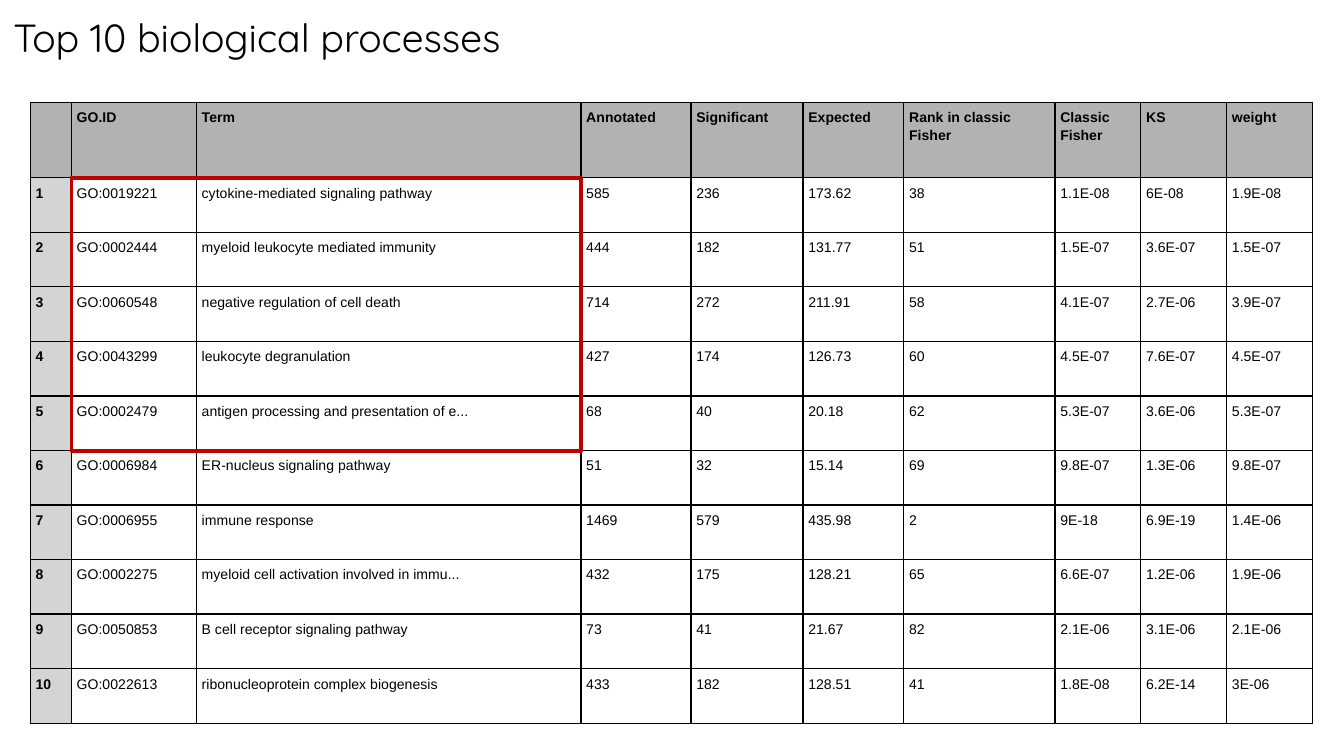
"""Build a slide with a table of the top 10 enriched biological processes."""
from dataclasses import dataclass

from lxml.etree import SubElement
from pptx import Presentation
from pptx.dml.color import RGBColor
from pptx.enum.shapes import MSO_SHAPE
from pptx.enum.text import MSO_ANCHOR, PP_ALIGN
from pptx.oxml.ns import qn
from pptx.util import Pt

TITLE = "Top 10 biological processes"
HEADERS = ["", "GO.ID", "Term", "Annotated", "Significant", "Expected",
           "Rank in classic Fisher", "Classic\nFisher", "KS", "weight"]
PROCESSES = [
    ("GO:0019221", "cytokine-mediated signaling pathway", "585", "236", "173.62", "38", "1.1E-08", "6E-08", "1.9E-08"),
    ("GO:0002444", "myeloid leukocyte mediated immunity", "444", "182", "131.77", "51", "1.5E-07", "3.6E-07", "1.5E-07"),
    ("GO:0060548", "negative regulation of cell death", "714", "272", "211.91", "58", "4.1E-07", "2.7E-06", "3.9E-07"),
    ("GO:0043299", "leukocyte degranulation", "427", "174", "126.73", "60", "4.5E-07", "7.6E-07", "4.5E-07"),
    ("GO:0002479", "antigen processing and presentation of e...", "68", "40", "20.18", "62", "5.3E-07", "3.6E-06", "5.3E-07"),
    ("GO:0006984", "ER-nucleus signaling pathway", "51", "32", "15.14", "69", "9.8E-07", "1.3E-06", "9.8E-07"),
    ("GO:0006955", "immune response", "1469", "579", "435.98", "2", "9E-18", "6.9E-19", "1.4E-06"),
    ("GO:0002275", "myeloid cell activation involved in immu...", "432", "175", "128.21", "65", "6.6E-07", "1.2E-06", "1.9E-06"),
    ("GO:0050853", "B cell receptor signaling pathway", "73", "41", "21.67", "82", "2.1E-06", "3.1E-06", "2.1E-06"),
    ("GO:0022613", "ribonucleoprotein complex biogenesis", "433", "182", "128.51", "41", "1.8E-08", "6.2E-14", "3E-06"),
]
HIGHLIGHTED_ROWS = 5
HIGHLIGHTED_COLUMNS = slice(1, 3)

COLUMN_WIDTHS = [22, 67, 206, 59, 60, 54, 81, 46, 46, 46]
HEADER_HEIGHT, ROW_HEIGHT = 40.5, 29.25
TABLE_LEFT, TABLE_TOP = 16.25, 54.75
CELL_INSET = 2.86


@dataclass(frozen=True)
class Theme:
    title_font: str = "Quicksand"
    table_font: str = "Arial"
    title_size: float = 21
    table_size: float = 7.5
    ink: str = "000000"
    header: str = "B0B3B2"
    index: str = "D4D4D4"
    highlight: str = "C00000"
    border_width: float = 0.83
    highlight_width: float = 2


THEME = Theme()


def style_font(font, name, size, bold=False):
    font.name, font.size, font.bold = name, Pt(size), bold
    font.color.rgb = RGBColor.from_string(THEME.ink)


def add_borders(cell):
    properties = cell._tc.get_or_add_tcPr()
    for position, side in enumerate(("lnL", "lnR", "lnT", "lnB")):
        line = properties.makeelement(qn(f"a:{side}"), {"w": str(Pt(THEME.border_width))})
        properties.insert(position, line)
        fill = SubElement(line, qn("a:solidFill"))
        SubElement(fill, qn("a:srgbClr"), val=THEME.ink)


def fill_cell(cell, text, fill, bold):
    cell.text = text
    cell.vertical_anchor = MSO_ANCHOR.TOP
    cell.margin_left = cell.margin_right = Pt(CELL_INSET)
    cell.margin_top = cell.margin_bottom = Pt(CELL_INSET)
    for paragraph in cell.text_frame.paragraphs:
        paragraph.line_spacing = 1.15
        style_font(paragraph.font, THEME.table_font, THEME.table_size, bold)
    if fill:
        cell.fill.solid()
        cell.fill.fore_color.rgb = RGBColor.from_string(fill)
    else:
        cell.fill.background()
    add_borders(cell)


def add_title(slide):
    title = slide.shapes.title
    title.left, title.top, title.width, title.height = Pt(0), Pt(0), Pt(554), Pt(78.5)
    frame = title.text_frame
    frame.text = TITLE
    frame.word_wrap = True
    frame.vertical_anchor = MSO_ANCHOR.TOP
    frame.margin_left = frame.margin_right = Pt(7.2)
    frame.margin_top = frame.margin_bottom = Pt(7.2)
    heading = frame.paragraphs[0]
    heading.alignment = PP_ALIGN.LEFT
    style_font(heading.font, THEME.title_font, THEME.title_size)


def add_process_table(slide):
    rows = [HEADERS] + [(str(rank), *process) for rank, process in enumerate(PROCESSES, 1)]
    heights = [HEADER_HEIGHT] + [ROW_HEIGHT] * len(PROCESSES)
    table = slide.shapes.add_table(
        len(rows), len(HEADERS), Pt(TABLE_LEFT), Pt(TABLE_TOP),
        Pt(sum(COLUMN_WIDTHS)), Pt(sum(heights))).table
    table.horz_banding = False
    table.first_row = False
    for column, width in zip(table.columns, COLUMN_WIDTHS):
        column.width = Pt(width)
    for row, height in zip(table.rows, heights):
        row.height = Pt(height)
    for r, values in enumerate(rows):
        for c, value in enumerate(values):
            fill = THEME.header if r == 0 else THEME.index if c == 0 else None
            fill_cell(table.cell(r, c), value, fill, bold=fill is not None)


def add_highlight(slide):
    left = TABLE_LEFT + sum(COLUMN_WIDTHS[:HIGHLIGHTED_COLUMNS.start])
    width = sum(COLUMN_WIDTHS[HIGHLIGHTED_COLUMNS])
    frame = slide.shapes.add_shape(
        MSO_SHAPE.RECTANGLE, Pt(left), Pt(TABLE_TOP + HEADER_HEIGHT),
        Pt(width), Pt(HIGHLIGHTED_ROWS * ROW_HEIGHT))
    frame.shadow.inherit = False
    frame.fill.background()
    frame.line.color.rgb = RGBColor.from_string(THEME.highlight)
    frame.line.width = Pt(THEME.highlight_width)


presentation = Presentation()
presentation.slide_width, presentation.slide_height = Pt(720), Pt(405)
slide = presentation.slides.add_slide(presentation.slide_layouts[5])
add_title(slide)
add_process_table(slide)
add_highlight(slide)
presentation.save("out.pptx")
